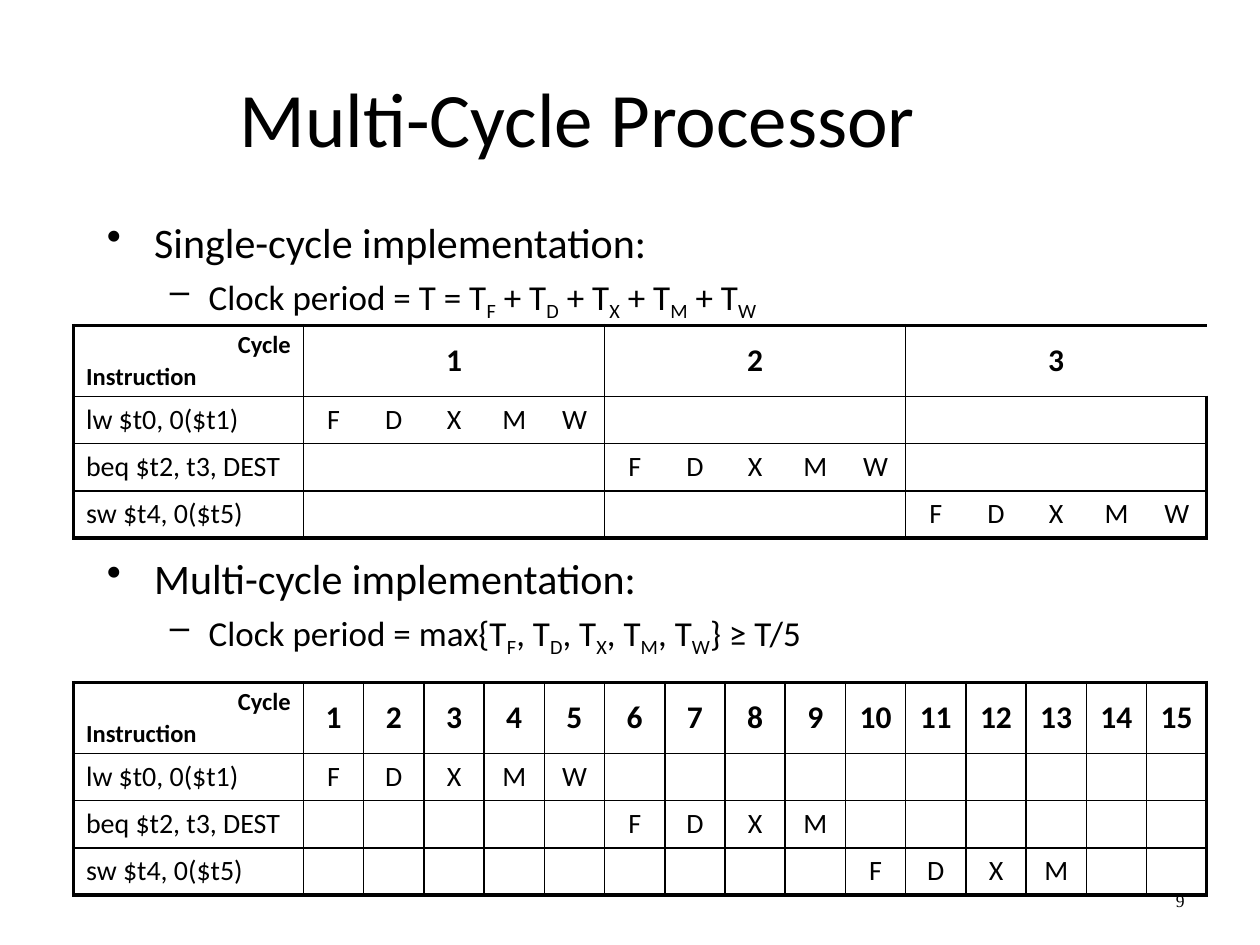
from dataclasses import dataclass
from pptx import Presentation
from pptx.dml.color import RGBColor as Color
from pptx.enum.text import MSO_ANCHOR as Anchor, PP_ALIGN as Align
from pptx.oxml.ns import qn
from pptx.util import Pt
from lxml.etree import SubElement as Sub

SCALE = 7620


def px(n):
    return round(n * SCALE)


@dataclass(frozen=True)
class Theme:
    ink: str = "000000"
    sans: str = "Calibri"
    serif: str = "Times New Roman"
    title: int = 44
    lead: int = 24
    point: int = 20
    head: int = 18
    code: int = 16
    label: int = 14
    page: int = 10
    thin: float = 1
    thick: float = 2.25


THEME = Theme()
STEPS = 15
CODE = ["lw $t0, 0($t1)", "beq $t2, t3, DEST", "sw $t4, 0($t5)"]


def style(para, size, bold=False, face=THEME.sans):
    font = para.font
    font.name, font.size, font.bold = face, Pt(size), bold
    font.color.rgb = Color.from_string(THEME.ink)


def place(shape, box):
    shape.left, shape.top, shape.width, shape.height = map(px, box)


def add_title(slide, box, text):
    title = slide.shapes.title
    place(title, box)
    frame = title.text_frame
    frame.text = text
    frame.vertical_anchor = Anchor.MIDDLE
    para = frame.paragraphs[0]
    para.alignment = Align.CENTER
    style(para, THEME.title)


def bullet(para, mark, left, hang):
    props = para._p.get_or_add_pPr()
    props.set("marL", str(px(left)))
    props.set("indent", str(-px(hang)))
    Sub(props, qn("a:buChar"), char=mark)


def add_subs(para, text):
    first, *rest = text.split("_")
    para.add_run().text = first
    for part in rest:
        low = para.add_run()
        low.text = part[0]
        low._r.get_or_add_rPr().set("baseline", "-25000")
        if part[1:]:
            para.add_run().text = part[1:]


def add_points(slide, box, lead, point):
    frame = slide.shapes.add_textbox(*map(px, box)).text_frame
    frame.word_wrap = True
    top, sub = frame.paragraphs[0], frame.add_paragraph()
    bullet(top, "•", 45, 45)
    top.add_run().text = lead
    top.line_spacing = 0.8
    style(top, THEME.lead)
    sub.level = 1
    bullet(sub, "–", 97, 37)
    add_subs(sub, point)
    sub.line_spacing = 0.9
    sub.space_before = Pt(5)
    style(sub, THEME.point)


def add_edges(cell, widths):
    props = cell._tc.get_or_add_tcPr()
    for side, width in zip("LRTB", widths):
        line = Sub(props, qn(f"a:ln{side}"), w=str(Pt(width)))
        if width:
            fill = Sub(line, qn("a:solidFill"))
            Sub(fill, qn("a:srgbClr"), val=THEME.ink)
        else:
            Sub(line, qn("a:noFill"))
    cell.fill.background()


def write(cell, text, size, bold=False, align=Align.CENTER):
    cell.vertical_anchor = Anchor.MIDDLE
    if not text:
        cell.margin_top = cell.margin_bottom = 0
    para = cell.text_frame.paragraphs[0]
    if text:
        para.add_run().text = text
    para.alignment = align
    para.line_spacing = 0.9
    style(para, size, bold)


def add_corner(cell):
    write(cell, "Cycle", THEME.label, True, Align.RIGHT)
    para = cell.text_frame.add_paragraph()
    para.add_run().text = "Instruction"
    para.line_spacing = 0.9
    para.space_before = Pt(3)
    style(para, THEME.label, True)


def add_chart(slide, box, span, runs):
    label, head, row = 219, 67, 45
    rows, cols = len(CODE) + 1, STEPS + 1
    grid = slide.shapes.add_table(rows, cols, *map(px, box)).table
    grid.first_row = grid.horz_banding = False
    for c, col in enumerate(grid.columns):
        col.width = px((box[2] - label) / STEPS if c else label)
    for r, line in enumerate(grid.rows):
        line.height = px(row if r else head)

    for r in range(rows):
        for c in range(cols):
            cell = grid.cell(r, c)
            left = THEME.thin if (c - 1) % span == 0 else 0
            right = THEME.thin if c % span == 0 else 0
            add_edges(cell, (
                left if c else THEME.thick,
                right if c < STEPS else THEME.thick,
                THEME.thin if r else THEME.thick,
                THEME.thin if r < rows - 1 else THEME.thick,
            ))

    add_corner(grid.cell(0, 0))
    for c in range(1, cols, span):
        cell = grid.cell(0, c)
        if span > 1:
            cell.merge(grid.cell(0, c + span - 1))
        write(cell, str((c - 1) // span + 1), THEME.head, True)
    for r, (code, (start, stages)) in enumerate(zip(CODE, runs), 1):
        write(grid.cell(r, 0), code, THEME.code, align=Align.LEFT)
        for c in range(1, cols):
            at = c - start
            text = stages[at] if 0 <= at < len(stages) else ""
            write(grid.cell(r, c), text, THEME.code)


def add_page(slide, box, text):
    frame = slide.shapes.add_textbox(*map(px, box)).text_frame
    frame.word_wrap = True
    frame.vertical_anchor = Anchor.MIDDLE
    para = frame.paragraphs[0]
    para.add_run().text = text
    para.alignment = Align.RIGHT
    style(para, THEME.page, face=THEME.serif)


def main():
    deck = Presentation()
    deck.slide_width, deck.slide_height = px(1200), px(900)
    slide = deck.slides.add_slide(deck.slide_layouts[5])
    add_title(slide, (60, 36, 980, 150), "Multi-Cycle Processor")
    add_points(slide, (90, 210, 1100, 220), "Single-cycle implementation:",
               "Clock period = T = T_F + T_D + T_X + T_M + T_W")
    add_page(slide, (1000, 834, 140, 48), "9")
    add_points(slide, (90, 530, 1100, 270), "Multi-cycle implementation:",
               "Clock period = max{T_F, T_D, T_X, T_M, T_W} ≥ T/5")
    add_chart(slide, (70, 310, 1080, 202), 5,
              [(1, "FDXMW"), (6, "FDXMW"), (11, "FDXMW")])
    add_chart(slide, (70, 650, 1080, 202), 1,
              [(1, "FDXMW"), (6, "FDXM"), (10, "FDXM")])
    deck.save("out.pptx")


if __name__ == "__main__":
    main()
